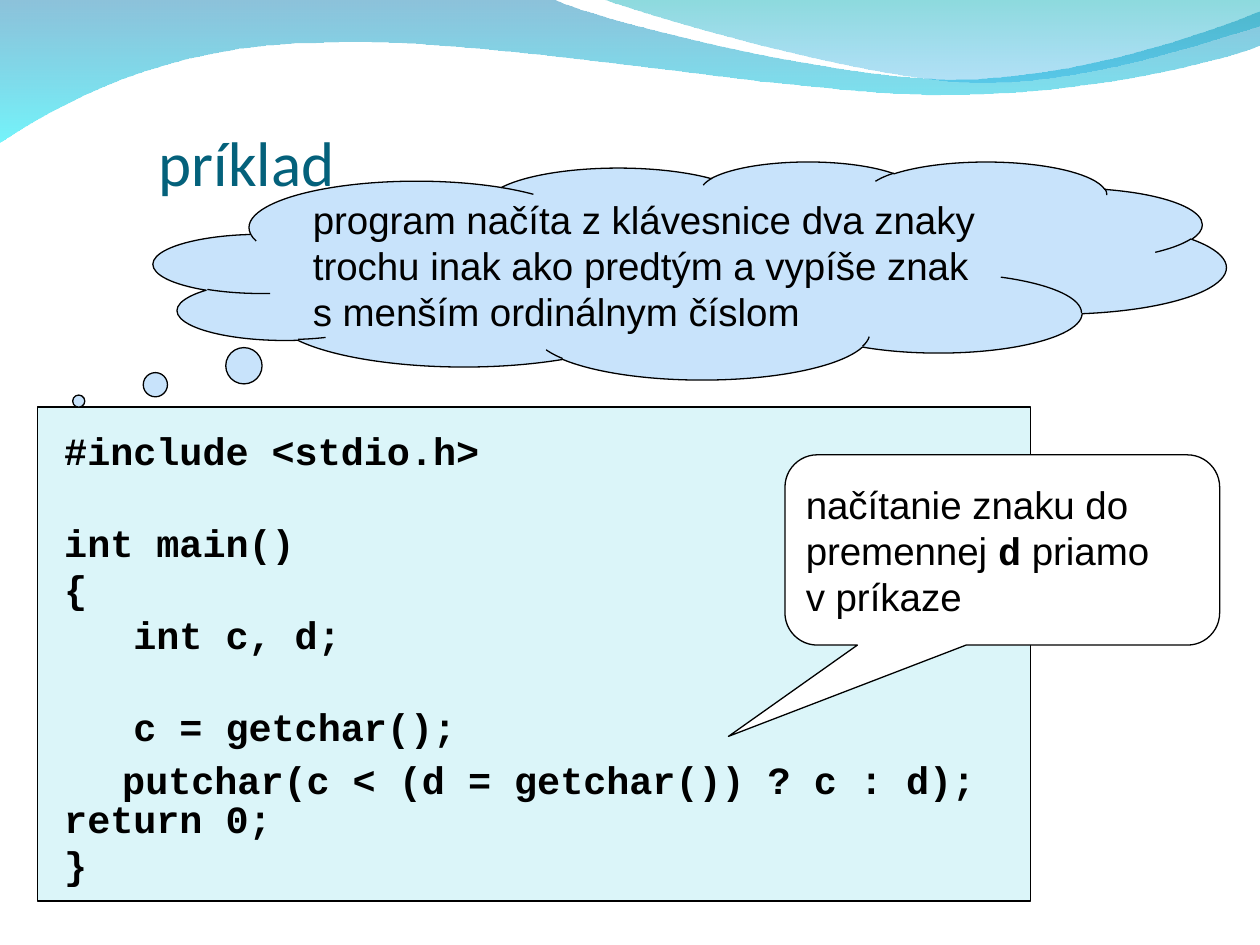
from lxml.etree import SubElement
from pptx import Presentation
from pptx.dml.color import RGBColor
from pptx.enum.shapes import MSO_SHAPE
from pptx.enum.text import MSO_ANCHOR, PP_ALIGN
from pptx.oxml.ns import qn
from pptx.util import Inches, Pt

WIDE, HIGH = Inches(10), Inches(7.5)
COL, ROW = WIDE / 100, HIGH / 100
SIZE, PITCH = Pt(22), Pt(26.3)
BLACK = RGBColor(0x00, 0x00, 0x00)
WHITE = RGBColor(0xFF, 0xFF, 0xFF)
TEAL = RGBColor(0x04, 0x61, 0x7B)
MINT = RGBColor(0xDB, 0xF5, 0xF9)
SKY = RGBColor(0xC8, 0xE3, 0xFB)
DEEP = RGBColor(0x00, 0x79, 0xAF)
AQUA = RGBColor(0x00, 0xEB, 0xF8)
SEA = RGBColor(0x00, 0xAD, 0xB6)
BLUE = RGBColor(0x00, 0x9B, 0xE5)

BROAD = [
    (0, 0), (44, 0),
    (47.6, 2.27, 66.4, 8.4, 75.8, 8.4), (85.3, 8.4, 95.8, 3.47, 100, 1.2),
    (100, 4.8),
    (98.3, 5.87, 87, 10.13, 74.6, 10), (62.2, 10, 38.2, 3.73, 25.7, 4.53),
    (12.9, 4.67, 4.6, 11.07, 0, 15.07),
]
SLIM = [
    (47.9, 0),
    (50.9, 1.47, 68.2, 8.27, 76.9, 8.67), (85.6, 9.2, 96.1, 4.27, 100, 2.8),
    (100, 0),
]
CODE = """#include <stdio.h>

int main()
{
   int c, d;

   c = getchar();

return 0;
}"""


def place(x, y, w, h):
    """Turn columns and rows of the slide grid into lengths."""
    return round(x * COL), round(y * ROW), round(w * COL), round(h * ROW)


def curve(shape, steps):
    """Merge each three lines that stand for a curve into a cubic one."""
    lines = list(shape._element.iter(qn("a:lnTo")))
    for step in steps[1:]:
        if len(step) == 2:
            lines.pop(0)
            continue
        trio, lines = lines[:3], lines[3:]
        host = trio[0].getparent()
        bend = SubElement(host, qn("a:cubicBezTo"))
        host.replace(trio[0], bend)
        for line in trio:
            bend.append(line[0])
        for line in trio[1:]:
            host.remove(line)


def wave(slide, steps, tints):
    """Draw a wave filled with a see-through gradient from top to bottom."""
    spots = [(step[i] * COL, step[i + 1] * ROW)
             for step in steps for i in range(0, len(step), 2)]
    pen = slide.shapes.build_freeform(*spots[0])
    pen.add_line_segments(spots[1:], close=True)
    shape = pen.convert_to_shape()
    curve(shape, steps)
    shape.shadow.inherit = False
    shape.line.fill.background()
    shape.fill.gradient()
    shape.fill.gradient_angle = 270
    for stop, (color, share) in zip(shape.fill.gradient_stops, tints):
        stop.color.rgb = color
    for node, (color, share) in zip(shape._element.spPr.iter(qn("a:srgbClr")), tints):
        SubElement(node, qn("a:alpha")).set("val", str(share * 1000))


def block(slide, kind, spot, fill, bends=()):
    """Draw a filled preset shape with a thin black line."""
    shape = slide.shapes.add_shape(kind, *place(*spot))
    shape.shadow.inherit = False
    shape.fill.solid()
    shape.fill.fore_color.rgb = fill
    shape.line.color.rgb = BLACK
    shape.line.width = Pt(0.75)
    for i, bend in enumerate(bends):
        shape.adjustments[i] = bend
    shape.text_frame.vertical_anchor = MSO_ANCHOR.MIDDLE
    return shape.text_frame


def label(slide, spot):
    """Add a text box and give back its frame."""
    return slide.shapes.add_textbox(*place(*spot)).text_frame


def style(para, face, size=SIZE, color=BLACK, bold=False, pitch=PITCH):
    """Set the look of one paragraph."""
    para.alignment = PP_ALIGN.LEFT
    para.line_spacing = pitch
    font = para.font
    font.name, font.size, font.bold = face, size, bold
    font.color.rgb = color


def write(frame, lines, face, bold=False):
    """Fill a frame with lines, turning each empty line into space before."""
    frame.word_wrap = True
    frame.margin_left = frame.margin_right = Inches(0.09)
    para, gap = None, 0
    for line in lines:
        if not line:
            gap += PITCH
            continue
        para = frame.add_paragraph() if para else frame.paragraphs[0]
        for i, part in enumerate(line.split("|")):
            run = para.add_run()
            run.text = part
            if i % 2:
                run.font.name, run.font.bold = "Courier New", True
        style(para, face, bold=bold)
        if gap:
            para.space_before, gap = gap, 0


def title(slide, text):
    """Add the slide title, resting on the foot of its box."""
    frame = label(slide, (12.6, 8.93, 85.2, 12.13))
    frame.margin_left = frame.margin_right = frame.margin_bottom = 0
    frame.vertical_anchor = MSO_ANCHOR.BOTTOM
    frame.word_wrap = True
    frame.text = text
    style(frame.paragraphs[0], "Calibri", Pt(36), TEAL, pitch=1.0)


def main():
    """Build the slide and save it."""
    deck = Presentation()
    deck.slide_width, deck.slide_height = WIDE, HIGH
    slide = deck.slides.add_slide(deck.slide_layouts[6])
    wave(slide, BROAD, [(DEEP, 45), (AQUA, 55)])
    wave(slide, SLIM, [(SEA, 45), (BLUE, 30)])
    title(slide, "príklad")
    block(slide, MSO_SHAPE.RECTANGLE, (3, 43.07, 78.8, 52.27), MINT)
    write(label(slide, (4.2, 44.53, 36, 50.13)), CODE.split("\n"),
          "Courier New", True)
    cloud = block(slide, MSO_SHAPE.CLOUD_CALLOUT, (12.2, 17.07, 85.1, 23.07),
                  SKY, (-0.57, 0.6))
    write(cloud, ["program načíta z klávesnice dva znaky trochu inak ako "
                  "predtým a vypíše znak s menším ordinálnym číslom"], "Arial")
    write(label(slide, (8.8, 79.33, 70.5, 6.13)),
          ["putchar(c < (d = getchar()) ? c : d);"], "Courier New", True)
    hint = block(slide, MSO_SHAPE.ROUNDED_RECTANGULAR_CALLOUT,
                 (62.3, 48.13, 34.5, 20.13), WHITE, (-0.63, 0.98, 0.17))
    write(hint, ["načítanie znaku do premennej |d| priamo", "v príkaze"], "Arial")
    deck.save("out.pptx")


if __name__ == "__main__":
    main()
